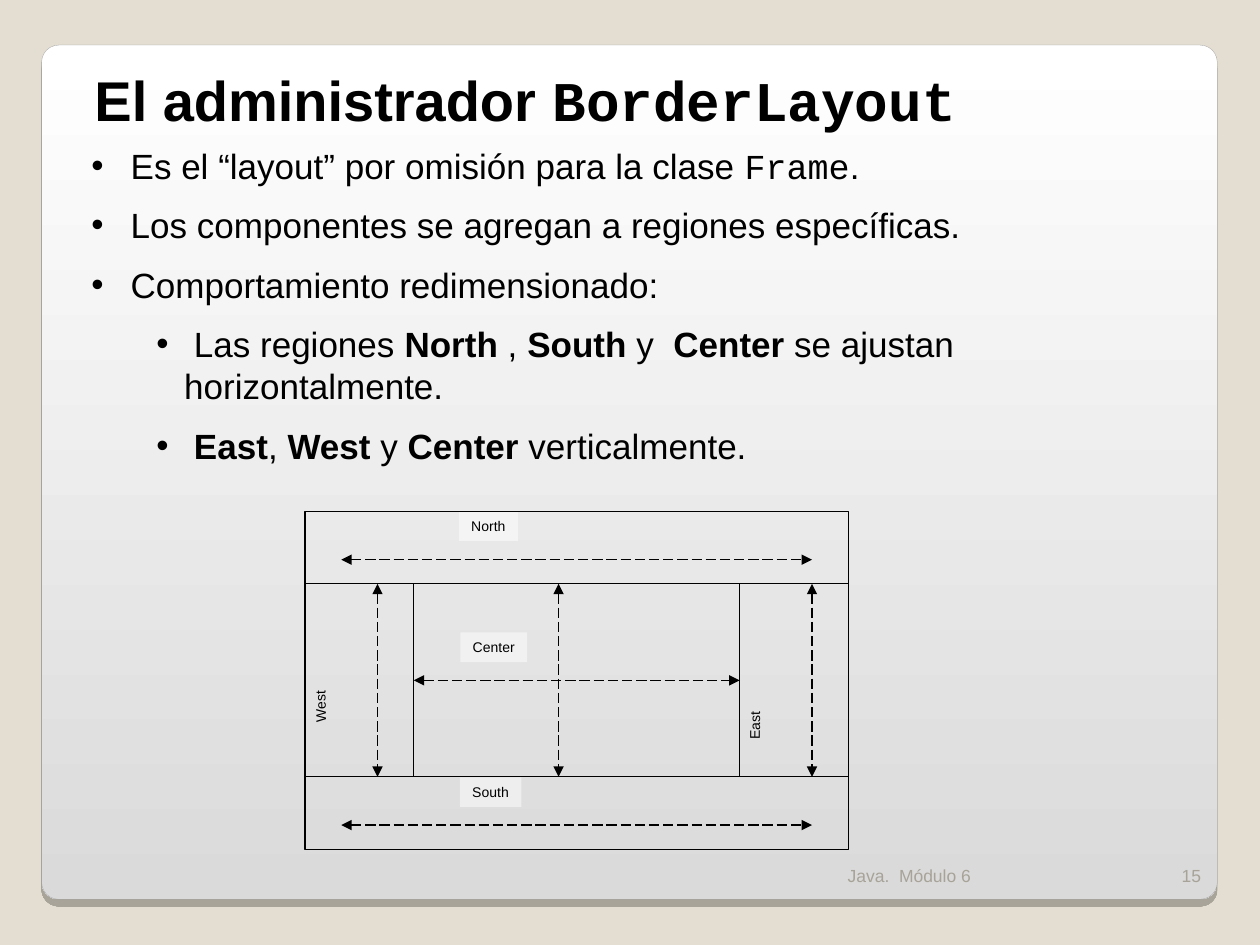
from lxml import etree
from pptx import Presentation
from pptx.dml.color import RGBColor
from pptx.enum.dml import MSO_LINE
from pptx.enum.shapes import MSO_CONNECTOR, MSO_SHAPE
from pptx.enum.text import MSO_ANCHOR, MSO_AUTO_SIZE, PP_ALIGN
from pptx.oxml.ns import qn
from pptx.util import Cm, Pt

RECT, ROUNDED = MSO_SHAPE.RECTANGLE, MSO_SHAPE.ROUNDED_RECTANGLE
STRAIGHT, LONG_DASH = MSO_CONNECTOR.STRAIGHT, MSO_LINE.LONG_DASH
TOP, BOTTOM = MSO_ANCHOR.TOP, MSO_ANCHOR.BOTTOM
LEFT, RIGHT = PP_ALIGN.LEFT, PP_ALIGN.RIGHT
NO_FIT = MSO_AUTO_SIZE.NONE

COLORS = {"back": "E3DED1", "panel_top": "FFFFFF", "panel_bottom": "DADADA",
          "edge": "A4A3A3", "ink": "000000", "footer": "A7A399", "label": "FFFFFF"}

# Runs are (text, style); style is "", "bold" or "code"
TITLE = [("El administrador ", ""), ("BorderLayout", "code")]
BULLETS = [  # (level, runs)
    (0, [("Es el “layout” por omisión para la clase ", ""), ("Frame", "code"), (".", "")]),
    (0, [("Los componentes se agregan a regiones específicas.", "")]),
    (0, [("Comportamiento redimensionado:", "")]),
    (1, [(" Las regiones ", ""), ("North", "bold"), (" , ", ""), ("South", "bold"),
         (" y  ", ""), ("Center", "bold"), (" se ajustan horizontalmente.", "")]),
    (1, [(" ", ""), ("East", "bold"), (", ", ""), ("West", "bold"), (" y ", ""),
         ("Center", "bold"), (" verticalmente.", "")]),
]
INDENTS = [(0.79, -0.79), (1.87, -0.56)]  # left margin and first line, by level
FOOTERS = [("Java.  Módulo 6", 16.84, 6.35, LEFT), ("15", 23.19, 1.27, RIGHT)]

# The diagram lies on a grid of 15 columns by 14 rows
GRID_LEFT, GRID_TOP = 6.15, 10.31
COL, ROW = 10.95 / 15, 6.81 / 14
FRAMES = [(3, 3, 12, 11), (0, 0, 15, 14)]
BORDERS = [(0, 3, 15, 3), (0, 11, 15, 11)]
ARROWS = [(1, 13, 14, 13), (1, 2, 14, 2), (2, 3, 2, 11),
          (14, 3, 14, 11), (3, 7, 12, 7), (7, 3, 7, 11)]
LABELS = [  # text, left, top, width, rotation, filled
    ("North", 9.25, 10.31, 1.19, 0, True),
    ("Center", 9.28, 12.75, 1.35, 0, True),
    ("South", 9.27, 15.67, 1.24, 0, True),
    ("West", 5.89, 13.94, 1.14, 269.1, False),
    ("East", 13.77, 13.41, 2.9, 270.3, False),
]


def rgb(name):
    return RGBColor.from_string(COLORS[name])


def place(shape, left, top, width, height):
    shape.left, shape.top, shape.width, shape.height = map(Cm, (left, top, width, height))


def format_run(r, size, color="ink", font="Arial", bold=False):
    r.font.size, r.font.name, r.font.bold = Pt(size), font, bold
    r.font.color.rgb = rgb(color)


def add_runs(p, runs, size, bold=False):
    for text, style in runs:
        r = p.add_run()
        r.text = text
        format_run(r, size, font="Courier New" if style == "code" else "Arial",
                   bold=bold or style == "bold")


def set_indent(p, margin, first):
    pPr = p._p.get_or_add_pPr()
    pPr.set("marL", str(Cm(margin)))
    pPr.set("indent", str(Cm(first)))
    return pPr


def add_bullet(pPr):
    color = etree.SubElement(pPr, qn("a:buClr"))
    etree.SubElement(color, qn("a:srgbClr"), val=COLORS["ink"])
    etree.SubElement(pPr, qn("a:buFont"), typeface="Arial")
    etree.SubElement(pPr, qn("a:buChar"), char="•")


def add_panel(s):
    """Add the shaded card behind everything else."""
    sp = s.shapes.add_shape(ROUNDED, Cm(0.84), Cm(0.91), Cm(23.7), Cm(17.22))
    sp.adjustments[0] = 0.02
    sp.fill.gradient()
    sp.fill.gradient_angle = 270
    for stop, name in zip(sp.fill.gradient_stops, ("panel_top", "panel_bottom")):
        stop.color.rgb = rgb(name)
    sp.line.color.rgb, sp.line.width = rgb("edge"), Pt(0.17)
    sp.shadow.inherit = False
    effects = sp._element.spPr.find(qn("a:effectLst"))
    shadow = etree.SubElement(effects, qn("a:outerShdw"), blurRad="0",
                              dist=str(Pt(4)), dir="5400000", rotWithShape="0")
    color = etree.SubElement(shadow, qn("a:srgbClr"), val=COLORS["ink"])
    etree.SubElement(color, qn("a:alpha"), val="25000")
    sp._element.getparent().insert(2, sp._element)


def add_title(s):
    sp = s.shapes.title
    place(sp, 0.58, 1.2, 21.23, 1.63)
    tf = sp.text_frame
    tf.auto_size, tf.vertical_anchor = NO_FIT, TOP
    p = tf.paragraphs[0]
    set_indent(p, 1.07, 0)
    p.alignment = LEFT
    add_runs(p, TITLE, 32, bold=True)


def add_body(s):
    sp = s.placeholders[1]
    place(sp, 1.59, 2.78, 21.82, 6.76)
    tf = sp.text_frame
    tf.auto_size, tf.vertical_anchor = NO_FIT, TOP
    for i, (level, runs) in enumerate(BULLETS):
        p = tf.add_paragraph() if i else tf.paragraphs[0]
        p.level = level
        add_bullet(set_indent(p, *INDENTS[level]))
        p.space_before, p.space_after = Pt(5 if i else 0), Pt(5)
        add_runs(p, runs, 20)


def add_footers(s):
    for text, left, width, align in FOOTERS:
        tf = s.shapes.add_textbox(Cm(left), Cm(16.97), Cm(width), Cm(1.02)).text_frame
        tf.word_wrap, tf.vertical_anchor = True, BOTTOM
        p = tf.paragraphs[0]
        p.text, p.alignment = text, align
        format_run(p.runs[0], 10, "footer")


def add_label(s, text, left, top, width, rotation, filled):
    """Add a small label; without a right inset its word fits on one line."""
    sp = s.shapes.add_textbox(Cm(left), Cm(top), Cm(width), Cm(0.6))
    sp.rotation = rotation
    if filled:
        sp.fill.solid()
        sp.fill.fore_color.rgb = rgb("label")
        color = sp._element.spPr.find(qn("a:solidFill"))[0]
        etree.SubElement(color, qn("a:alpha"), val="50000")
    tf = sp.text_frame
    tf.word_wrap, tf.auto_size, tf.margin_right = True, NO_FIT, 0
    tf.text = text
    format_run(tf.paragraphs[0].runs[0], 8)


def grid_points(x1, y1, x2, y2):
    return [Cm(GRID_LEFT + x1 * COL), Cm(GRID_TOP + y1 * ROW),
            Cm(GRID_LEFT + x2 * COL), Cm(GRID_TOP + y2 * ROW)]


def style_line(line):
    line.color.rgb, line.width = rgb("ink"), Pt(0.75)


def add_line(s, ends, arrow):
    c = s.shapes.add_connector(STRAIGHT, *grid_points(*ends))
    style_line(c.line)
    if arrow:
        c.line.dash_style = LONG_DASH
        for tag in ("a:headEnd", "a:tailEnd"):
            etree.SubElement(c.line._get_or_add_ln(), qn(tag), type="triangle")
    etree.SubElement(c._element.spPr, qn("a:effectLst"))


def add_diagram(s):
    for label in LABELS:
        add_label(s, *label)
    for corners in FRAMES:
        x1, y1, x2, y2 = grid_points(*corners)
        sp = s.shapes.add_shape(RECT, x1, y1, x2 - x1, y2 - y1)
        sp.fill.background()
        sp.shadow.inherit = False
        style_line(sp.line)
    for ends in BORDERS:
        add_line(s, ends, arrow=False)
    for ends in ARROWS:
        add_line(s, ends, arrow=True)


def main():
    prs = Presentation()
    prs.slide_width, prs.slide_height = Cm(25.4), Cm(19.05)
    s = prs.slides.add_slide(prs.slide_layouts[1])
    s.background.fill.solid()
    s.background.fill.fore_color.rgb = rgb("back")
    add_panel(s)
    add_title(s)
    add_body(s)
    add_footers(s)
    add_diagram(s)
    prs.save("out.pptx")


if __name__ == "__main__":
    main()
